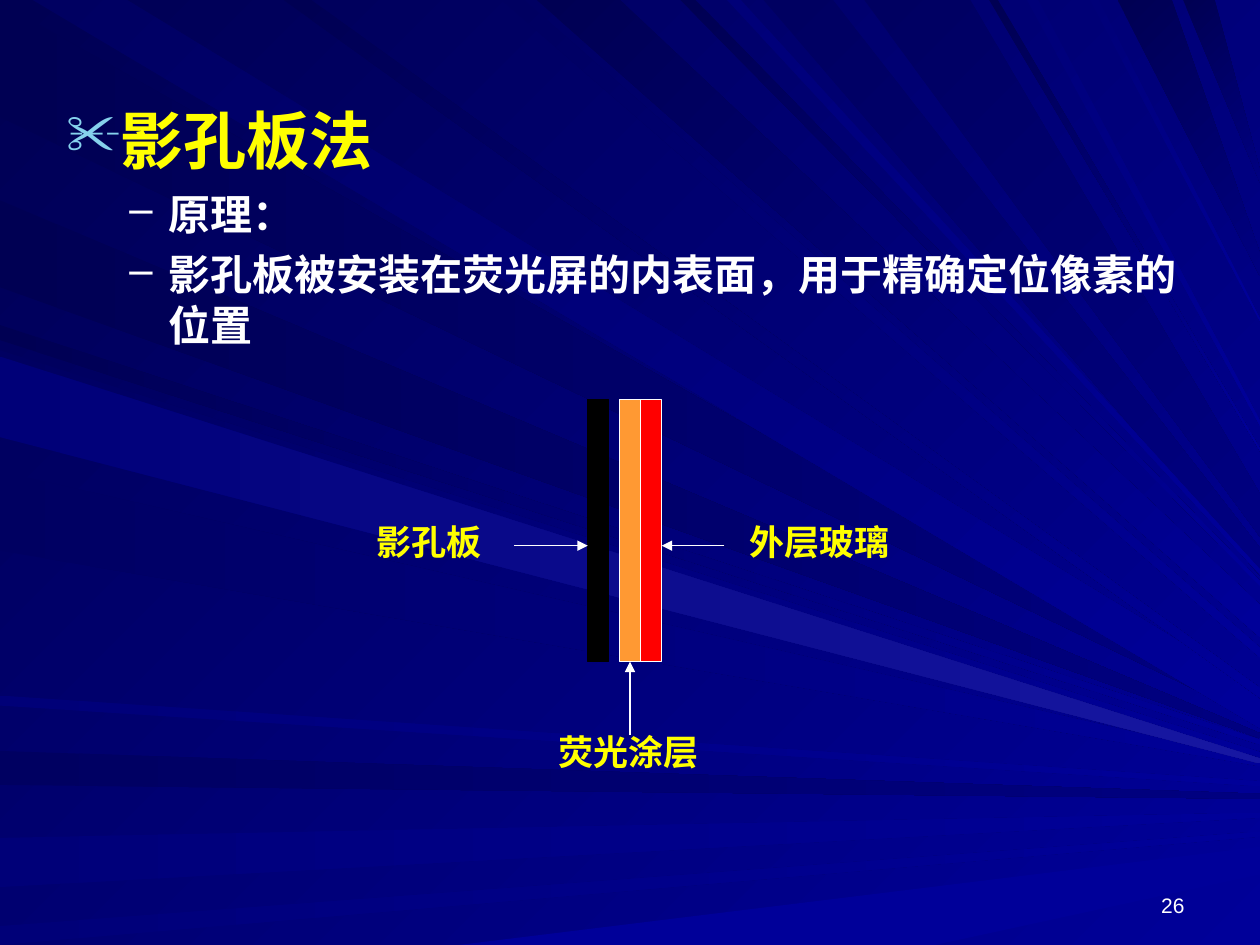
import dataclasses

import lxml.etree
import pptx
import pptx.dml.color
import pptx.enum.shapes
import pptx.enum.text
import pptx.oxml.ns
import pptx.util
from pptx.util import Cm, Pt


@dataclasses.dataclass(frozen=True)
class Theme:
    """Colours, fonts and type sizes of the slide."""
    deep: str = "000053"
    dim: str = "000061"
    soft: str = "000078"
    navy: str = "000080"
    bright: str = "000099"
    glow: str = "1717A2"
    heading: str = "FFFF00"
    text: str = "FFFFFF"
    scissors: str = "86D1EC"
    mask: str = "000000"
    coating: str = "FF9933"
    glass: str = "FF0000"
    body_font: str = "Arial"
    label_font: str = "Times New Roman"
    heading_size: int = 36
    body_size: int = 24
    label_size: int = 20
    number_size: int = 12
    line_width: float = 0.75


THEME = Theme()
RAY_UNIT = Cm(0.0254)
RIGHT, BOTTOM = 1000, 750

RAYS = [
    ("left", 2, 93, 570, THEME.deep, THEME.navy),
    ("top", 26, 101, 563, THEME.dim, THEME.bright),
    ("left", 596, 623, 632, THEME.dim, THEME.navy),
    ("left", 665, 704, 647, THEME.soft, THEME.bright),
    ("left", 735, 750, 662, THEME.soft, THEME.bright),
    ("bottom", 364, 742, 683, THEME.bright, THEME.bright),
    ("left", 258, 270, 589, THEME.deep, THEME.bright),
    ("left", 159, 228, 584, THEME.deep, THEME.navy),
    ("top", 398, 416, 518, THEME.dim, THEME.bright),
    ("top", 426, 492, 493, THEME.deep, THEME.bright),
    ("top", 540, 552, 463, THEME.deep, THEME.bright),
    ("top", 606, 661, 446, THEME.dim, THEME.navy),
    ("top", 887, 930, 210, THEME.deep, THEME.navy),
    ("top", 939, 964, 140, THEME.deep, THEME.navy),
    ("left", 278, 342, 599, THEME.dim, THEME.bright),
    ("left", 374, 437, 606, THEME.dim, THEME.bright),
    ("left", 552, 560, 622, THEME.soft, THEME.bright),
    ("top", 225, 247, 550, THEME.deep, THEME.bright),
    ("top", 577, 588, 454, THEME.soft, THEME.bright),
    ("top", 686, 770, 409, THEME.dim, THEME.navy),
    ("top", 785, 792, 357, THEME.deep, THEME.bright),
    ("top", 815, 824, 336, THEME.soft, THEME.bright),
    ("top", 865, 872, 254, THEME.soft, THEME.bright),
    ("left", 283, 347, 604, THEME.soft, THEME.glow),
]


def rgb(color):
    """Return the colour object for a hex string."""
    return pptx.dml.color.RGBColor.from_string(color)


def paint(fill, start, end, angle=0):
    """Fill with one colour, or with a gradient turned clockwise by angle."""
    if start == end:
        fill.solid()
        fill.fore_color.rgb = rgb(start)
        return
    fill.gradient()
    fill.gradient_angle = (360 - angle) % 360
    for stop, color, position in zip(fill.gradient_stops, (start, end), (0, 1)):
        stop.color.rgb = rgb(color)
        stop.position = position


def add_ray(slide, edge, near, far, tip, start, end):
    """Draw a light ray that narrows from one slide edge to the right edge."""
    if edge == "left":
        base, spread, angle = [(0, far), (0, near)], 2, 0
    else:
        level = 0 if edge == "top" else BOTTOM
        base, spread, angle = [(near, level), (far, level)], (far - near) / 5, 45
    if edge == "bottom":
        spread = 11
    tips = [(RIGHT, tip - spread), (RIGHT, tip + spread)]
    if edge == "bottom":
        tips.reverse()
    builder = slide.shapes.build_freeform(*base[0], scale=float(RAY_UNIT))
    builder.add_line_segments(base[1:] + tips, close=True)
    shape = builder.convert_to_shape()
    shape.shadow.inherit = False
    shape.line.fill.background()
    paint(shape.fill, start, end, angle)


def add_text(slide, left, top, width, height, wrap=True):
    """Add an empty text box and return its frame."""
    shape = slide.shapes.add_textbox(Cm(left), Cm(top), Cm(width), Cm(height))
    shape.text_frame.word_wrap = wrap
    return shape.text_frame


def style_paragraph(paragraph, text, size, color, font, bold=True):
    """Set the wording and font of a paragraph."""
    paragraph.text = text
    paragraph.font.size = Pt(size)
    paragraph.font.color.rgb = rgb(color)
    paragraph.font.name = font
    paragraph.font.bold = bold


def add_bullet(paragraph, symbol, color, percent, margin, hanging):
    """Give a paragraph a coloured bullet and a hanging indent."""
    properties = paragraph._p.get_or_add_pPr()
    properties.set("marL", str(Cm(margin)))
    properties.set("indent", str(-Cm(hanging)))
    qualify = pptx.oxml.ns.qn
    bullet_color = lxml.etree.SubElement(properties, qualify("a:buClr"))
    lxml.etree.SubElement(bullet_color, qualify("a:srgbClr"), val=color)
    lxml.etree.SubElement(properties, qualify("a:buSzPct"), val=str(percent * 1000))
    lxml.etree.SubElement(properties, qualify("a:buChar"), char=symbol)


def add_body(slide):
    """Add the heading and the points below it."""
    frame = add_text(slide, 1.09, 1.93, 23.39, 13.69)
    heading = frame.paragraphs[0]
    heading.space_before = Pt(9)
    add_bullet(heading, "✂", THEME.scissors, 90, 0.95, 0.95)
    style_paragraph(heading, "影孔板法", THEME.heading_size, THEME.heading, THEME.body_font)
    for text in ("原理：", "影孔板被安装在荧光屏的内表面，用于精确定位像素的位置"):
        paragraph = frame.add_paragraph()
        paragraph.level = 1
        paragraph.space_before = Pt(6)
        add_bullet(paragraph, "–", THEME.text, 100, 2.06, 0.79)
        style_paragraph(paragraph, text, THEME.body_size, THEME.text, THEME.body_font)


def add_layer(slide, left, color, outline):
    """Draw one upright layer of the screen."""
    shape = slide.shapes.add_shape(
        pptx.enum.shapes.MSO_SHAPE.RECTANGLE, Cm(left), Cm(8.05), Cm(0.42), Cm(5.28))
    shape.shadow.inherit = False
    paint(shape.fill, color, color)
    shape.line.color.rgb = rgb(outline)
    shape.line.width = Pt(THEME.line_width)


def add_arrow(slide, *ends):
    """Draw an arrow from the first point to the second."""
    connector = slide.shapes.add_connector(
        pptx.enum.shapes.MSO_CONNECTOR.STRAIGHT, *map(Cm, ends))
    connector.line.color.rgb = rgb(THEME.text)
    connector.line.width = Pt(THEME.line_width)
    properties = connector._element.spPr
    outline = properties.find(pptx.oxml.ns.qn("a:ln"))
    lxml.etree.SubElement(outline, pptx.oxml.ns.qn("a:tailEnd"), type="triangle")
    lxml.etree.SubElement(properties, pptx.oxml.ns.qn("a:effectLst"))


def add_label(slide, text, left, top, width):
    """Add a centred label of the diagram."""
    frame = add_text(slide, left, top, width, 1.11, wrap=False)
    frame.auto_size = pptx.enum.text.MSO_AUTO_SIZE.SHAPE_TO_FIT_TEXT
    paragraph = frame.paragraphs[0]
    paragraph.alignment = pptx.enum.text.PP_ALIGN.CENTER
    style_paragraph(paragraph, text, THEME.label_size, THEME.heading, THEME.label_font)


def add_slide_number(slide):
    """Add the slide number at the lower right."""
    frame = add_text(slide, 18.2, 17.35, 5.93, 1.27)
    frame.vertical_anchor = pptx.enum.text.MSO_ANCHOR.BOTTOM
    paragraph = frame.paragraphs[0]
    paragraph.alignment = pptx.enum.text.PP_ALIGN.RIGHT
    style_paragraph(paragraph, "26", THEME.number_size, THEME.text, THEME.body_font, bold=False)


def main():
    """Build the slide and save it."""
    presentation = pptx.Presentation()
    presentation.slide_width, presentation.slide_height = Cm(25.4), Cm(19.05)
    slide = presentation.slides.add_slide(presentation.slide_layouts[6])
    paint(slide.background.fill, THEME.deep, THEME.bright, 45)
    for ray in RAYS:
        add_ray(slide, *ray)
    add_slide_number(slide)
    add_body(slide)
    add_layer(slide, 11.85, THEME.mask, THEME.mask)
    add_layer(slide, 12.49, THEME.coating, THEME.text)
    add_layer(slide, 12.91, THEME.glass, THEME.text)
    add_arrow(slide, 14.6, 11, 13.34, 11)
    add_arrow(slide, 12.7, 14.82, 12.7, 13.34)
    add_arrow(slide, 10.37, 11, 11.85, 11)
    add_label(slide, "外层玻璃", 14.86, 10.36, 3.33)
    add_label(slide, "荧光涂层", 11, 14.6, 3.33)
    add_label(slide, "影孔板", 7.34, 10.36, 2.62)
    presentation.save("out.pptx")


if __name__ == "__main__":
    main()
